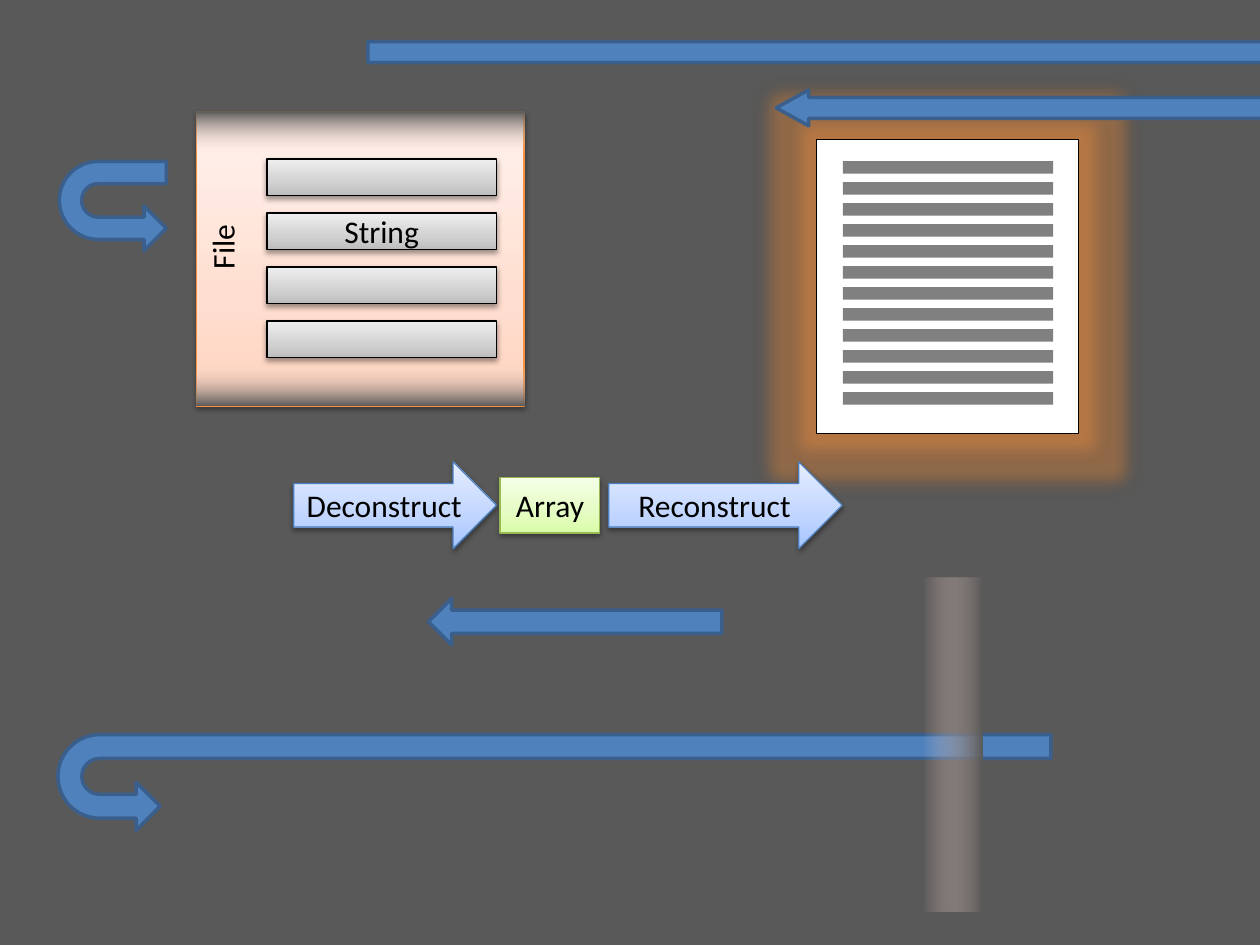
import lxml.etree
import pptx
import pptx.util
import pptx.dml.color
import pptx.enum.shapes
import pptx.enum.text
import pptx.oxml.ns

Pt = pptx.util.Pt
RGB = pptx.dml.color.RGBColor
KIND = pptx.enum.shapes.MSO_SHAPE
ALIGN = pptx.enum.text.PP_ALIGN
ANCHOR = pptx.enum.text.MSO_ANCHOR
qn = pptx.oxml.ns.qn

BLACK = RGB(0x00, 0x00, 0x00)
WHITE = RGB(0xFF, 0xFF, 0xFF)
BACKDROP = RGB(0x59, 0x59, 0x59)
TEXT_LINE = RGB(0x80, 0x80, 0x80)
FLOW_FILL = RGB(0x4F, 0x81, 0xBD)
FLOW_EDGE = RGB(0x3A, 0x5F, 0x8C)
STEP_EDGE = RGB(0x4B, 0x7E, 0xBC)
FILE_EDGE = RGB(0xF6, 0x92, 0x40)
ARRAY_EDGE = RGB(0x98, 0xB9, 0x55)
GLOW = RGB(0xF7, 0x96, 0x46)
PEACH = RGB(0xFF, 0xDE, 0xD0)


def three_stops(start, middle, end):
    return [(0, start, 100), (35, middle, 100), (100, end, 100)]


FILE_GRADIENT = three_stops(RGB(0xFF, 0xD2, 0xBD), PEACH, RGB(0xFF, 0xF2, 0xED))
STEP_GRADIENT = three_stops(RGB(0xA4, 0xC4, 0xFF), RGB(0xBF, 0xD4, 0xFF), RGB(0xE6, 0xEE, 0xFF))
ARRAY_GRADIENT = three_stops(RGB(0xDA, 0xFD, 0xA7), RGB(0xE4, 0xFC, 0xC2), RGB(0xF5, 0xFF, 0xE7))
STRING_GRADIENT = three_stops(RGB(0xBD, 0xBD, 0xBD), RGB(0xD1, 0xD1, 0xD1), RGB(0xEE, 0xEE, 0xEE))
FADE_GRADIENT = [(0, BACKDROP, 100), (87, PEACH, 0)]


def add_child(parent, tag, **attributes):
    child = lxml.etree.SubElement(parent, qn(tag))
    for key, value in attributes.items():
        child.set(key, str(value))
    return child


def add_color(parent, color, alpha):
    tint = add_child(parent, "a:srgbClr", val=color)
    if alpha < 100:
        add_child(tint, "a:alpha", val=alpha * 1000)


def apply_gradient(shape, stops):
    shape.fill.gradient()
    shape.fill.gradient_angle = 90
    stop_list = shape._element.spPr.find(".//" + qn("a:gsLst"))
    for old_stop in list(stop_list):
        stop_list.remove(old_stop)
    for position, color, alpha in stops:
        add_color(add_child(stop_list, "a:gs", pos=position * 1000), color, alpha)


def add_effects(shape, shadow, glow):
    effects = shape._element.spPr.find(qn("a:effectLst"))
    if glow:
        add_color(add_child(effects, "a:glow", rad=Pt(glow)), GLOW, 40)
    if shadow:
        alpha, blur, distance, angle = shadow
        cast = add_child(effects, "a:outerShdw", blurRad=Pt(blur), dist=Pt(distance),
                         dir=angle * 60000, rotWithShape=0)
        add_color(cast, BLACK, alpha)


def add_block(slide, kind, box, fill, edge=None, weight=0.75, rotation=0,
              flip=False, adjustments=(), shadow=None, glow=0):
    shape = slide.shapes.add_shape(kind, *map(Pt, box))
    shape.shadow.inherit = False
    if isinstance(fill, list):
        apply_gradient(shape, fill)
    else:
        shape.fill.solid()
        shape.fill.fore_color.rgb = fill
    if edge is None:
        shape.line.fill.background()
    else:
        shape.line.color.rgb = edge
        shape.line.width = Pt(weight)
    shape.rotation = rotation
    if flip:
        shape._element.spPr.find(qn("a:xfrm")).set("flipH", "1")
    for index, value in enumerate(adjustments):
        shape.adjustments[index] = value
    add_effects(shape, shadow, glow)
    return shape


def write_text(shape, text, size=18, font="Calibri", color=BLACK,
               align=ALIGN.CENTER, anchor=ANCHOR.MIDDLE, wrap=True):
    frame = shape.text_frame
    frame.word_wrap = wrap
    frame.vertical_anchor = anchor
    paragraph = frame.paragraphs[0]
    paragraph.alignment = align
    run = paragraph.add_run()
    run.text = text
    run.font.size = Pt(size)
    run.font.name = font
    run.font.color.rgb = color


SOFT_SHADOW = (38, 3.1, 1.6, 90)


def draw_flow_arrow(slide, kind, box, **look):
    add_block(slide, kind, box, FLOW_FILL, FLOW_EDGE, weight=2, **look)


def draw_file(slide, left, top, width, height):
    fade_height = 27.4
    add_block(slide, KIND.RECTANGLE, (left, top, width, height), FILE_GRADIENT,
              FILE_EDGE, shadow=SOFT_SHADOW)
    for fade_top, rotation in ((top + height - fade_height, 0), (top - 0.5, 180)):
        add_block(slide, KIND.RECTANGLE, (left, fade_top, width, fade_height),
                  FADE_GRADIENT, rotation=rotation)
    for row, content in enumerate(("", "String", "", "")):
        string = add_block(slide, KIND.RECTANGLE,
                           (left + 40.3, top + 26.8 + row * 30.9, 131, 20.9),
                           STRING_GRADIENT, BLACK, shadow=SOFT_SHADOW)
        if content:
            write_text(string, content)
    file_label = slide.shapes.add_textbox(Pt(left - 5.7), Pt(top + 61.9), Pt(41), Pt(29))
    file_label.rotation = 270
    write_text(file_label, "File", align=ALIGN.LEFT, anchor=ANCHOR.TOP, wrap=False)


def draw_document(slide, left, top, width, height):
    add_block(slide, KIND.RECTANGLE, (left, top, width, height), WHITE, BLACK,
              shadow=(40, 5, 0, 0), glow=18)
    for row in range(12):
        add_block(slide, KIND.RECTANGLE, (left + 15, top + 12.2 + row * 12, width - 29.6, 7.2),
                  TEXT_LINE)


def draw_conversion(slide, left, top, height):
    steps = (
        (KIND.RIGHT_ARROW, "Deconstruct", 0, 116, height, STEP_GRADIENT, STEP_EDGE),
        (KIND.RECTANGLE, "Array", 118, 57, 31.7, ARRAY_GRADIENT, ARRAY_EDGE),
        (KIND.RIGHT_ARROW, "Reconstruct", 180, 133.5, height, STEP_GRADIENT, STEP_EDGE),
    )
    for kind, label, offset, width, step_height, gradient, edge in steps:
        box = (left + offset, top + (height - step_height) / 2, width, step_height)
        step = add_block(slide, kind, box, gradient, edge, shadow=SOFT_SHADOW)
        write_text(step, label)


def draw_long_return(slide, left, top, width, height):
    draw_flow_arrow(slide, KIND.U_TURN_ARROW, (left, top, width, height), rotation=270,
                    flip=True, adjustments=(0.25, 0.25, 0.25, 0.438, 0.103))
    add_block(slide, KIND.RECTANGLE, (left + 157, top + 242.6, 190.8, 38.9),
              FADE_GRADIENT, rotation=270)


presentation = pptx.Presentation()
presentation.slide_width = Pt(720)
presentation.slide_height = Pt(540)
slide = presentation.slides.add_slide(presentation.slide_layouts[6])
slide.background.fill.solid()
slide.background.fill.fore_color.rgb = BACKDROP

draw_flow_arrow(slide, KIND.U_TURN_ARROW, (38.9, 87.1, 51.1, 61.2), rotation=270,
                flip=True, adjustments=(0.25, 0.25, 0.25, 0.438, 1))
draw_file(slide, 112.3, 64, 187.2, 168)
draw_long_return(slide, 289.4, 163.4, 54.7, 567.4)
draw_document(slide, 466.6, 79.9, 149.8, 167.8)
draw_flow_arrow(slide, KIND.RIGHT_ARROW, (244.8, 342, 167.8, 26.6), flip=True)
draw_flow_arrow(slide, KIND.U_TURN_ARROW, (466.6, -232.6, 48.2, 560.9), rotation=90,
                adjustments=(0.25, 0.213, 0.384, 0.438, 0.584))
draw_conversion(slide, 167.8, 263.9, 49.7)

presentation.save("out.pptx")
